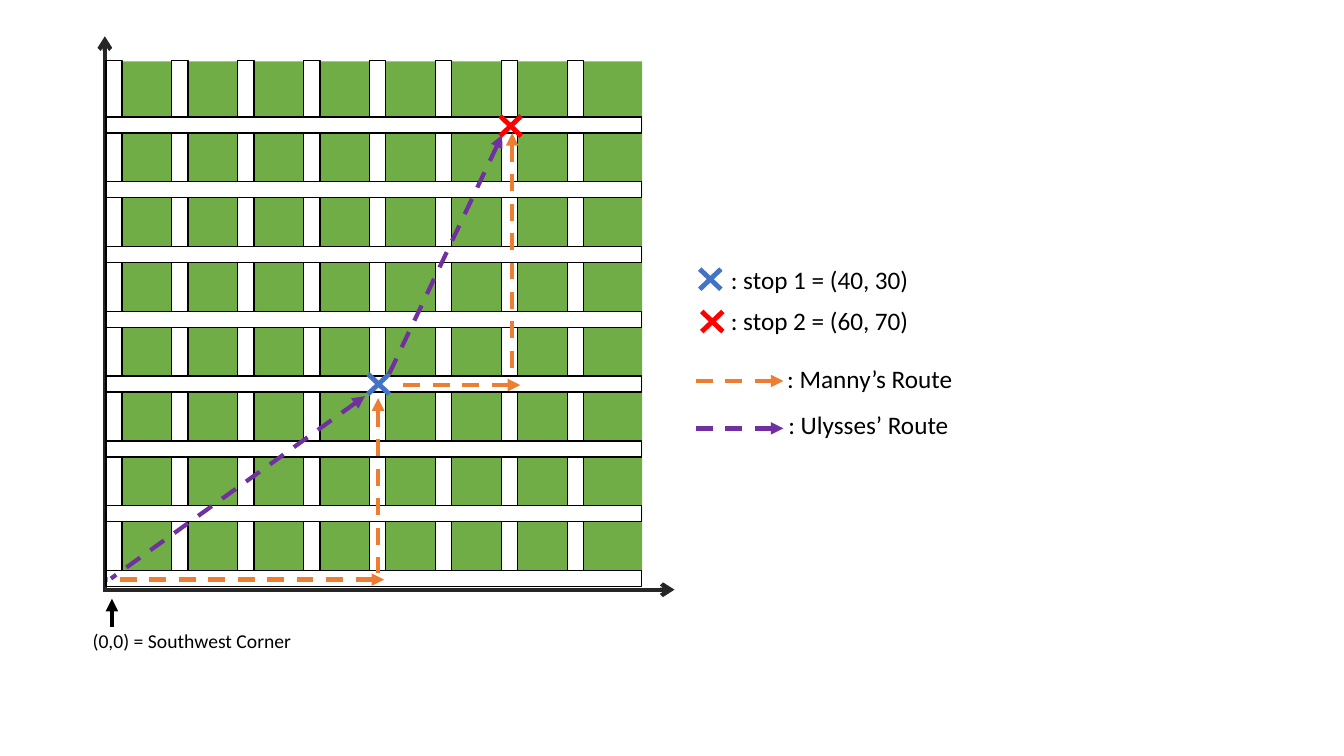
from lxml import etree
from pptx import Presentation
from pptx import util as u
from pptx.dml.color import RGBColor
from pptx.enum import dml, shapes, text
from pptx.oxml import ns

HUES = {"park": "70AD47", "road": "FFFFFF", "ink": "000000", "axis": "262626",
        "red": "FF0000", "blue": "4472C4", "manny": "ED7D31", "ulysses": "7030A0"}
HUES = {name: RGBColor.from_string(hue) for name, hue in HUES.items()}

deck = Presentation()
deck.slide_width, deck.slide_height = u.Inches(13.33), u.Inches(7.5)
slide = deck.slides.add_slide(deck.slide_layouts[6])


def block(box, fill, edge=None):
    """Add a rectangle, with a 1 pt outline if an edge colour is named."""
    rect = slide.shapes.add_shape(shapes.MSO_SHAPE.RECTANGLE, *map(u.Inches, box))
    rect.shadow.inherit = False
    rect.fill.solid()
    rect.fill.fore_color.rgb = HUES[fill]
    if edge:
        rect.line.color.rgb = HUES[edge]
        rect.line.width = u.Pt(1)
    else:
        rect.line.fill.background()


def stroke(home, ends, hue, head=None, **look):
    """Draw a line in the given shape tree; any arrowhead sits at its first point."""
    line = home.add_connector(shapes.MSO_CONNECTOR.STRAIGHT, *map(u.Inches, ends))
    line.line.color.rgb = HUES[hue]
    for key, val in ({"width": u.Pt(3)} | look).items():
        setattr(line.line, key, val)
    props = line.element.spPr
    if head:
        etree.SubElement(props.find(ns.qn("a:ln")), ns.qn("a:headEnd"), type=head)
    etree.SubElement(props, ns.qn("a:effectLst"))


# City blocks, axes and streets
block((1.22, 0.61, 5.15, 5.06), "park")
for ends in [(1.04, 0.36, 1.04, 5.85), (6.69, 5.85, 1.02, 5.85)]:
    stroke(slide.shapes, ends, "axis", "arrow")
for i in range(8):
    block((1.05 + 4.58 * i / 7, 0.6, 0.16, 5.07), "road", "ink")
for i in range(8):
    block((1.05, 1.16 + 4.5 * i / 7, 5.31, 0.16), "road", "ink")

# Stops on the map and in the key
for x, y, hue in [(6.96, 3.09, "red"), (6.94, 2.67, "blue"),
                  (3.65, 3.71, "blue"), (4.96, 1.15, "red")]:
    cross = slide.shapes.add_group_shape().shapes
    for top, base in [(y, y + 0.2), (y + 0.2, y)]:
        stroke(cross, (x + 0.21, top, x, base), hue, width=u.Pt(3.5))

# Routes, each followed by its key line
routes = {
    "manny": [(3.81, 5.75, 1.06, 5.75), (3.75, 3.95, 3.75, 5.68),
              (5.16, 3.82, 3.89, 3.82), (5.08, 1.32, 5.08, 3.75),
              (7.77, 3.78, 6.83, 3.78)],
    "ulysses": [(3.62, 3.93, 1.1, 5.74), (4.98, 1.34, 3.85, 3.73),
                (7.77, 4.25, 6.83, 4.25)],
}
for name, legs in routes.items():
    for ends in legs:
        stroke(slide.shapes, ends, name, "triangle", dash_style=dml.MSO_LINE.DASH)
stroke(slide.shapes, (1.11, 5.94, 1.11, 6.22), "ink", "triangle")

# Labels
labels = [
    (": stop 1 = (40, 30)", (7.15, 2.57, 1.99, 0.4), 18),
    (": stop 2 = (60, 70)", (7.15, 2.98, 1.99, 0.4), 18),
    (": Manny’s Route", (7.71, 3.56, 1.86, 0.4), 18),
    (": Ulysses’ Route", (7.72, 4.01, 1.8, 0.4), 18),
    ("(0,0) = Southwest Corner", (0.82, 6.19, 2.25, 0.34), 14),
]
for words, box, size in labels:
    frame = slide.shapes.add_textbox(*map(u.Inches, box)).text_frame
    frame.word_wrap = False
    frame.auto_size = text.MSO_AUTO_SIZE.SHAPE_TO_FIT_TEXT
    run = frame.paragraphs[0].add_run()
    run.text = words
    for key, val in {"name": "Calibri", "size": u.Pt(size)}.items():
        setattr(run.font, key, val)
    run.font.color.rgb = HUES["ink"]

deck.save("out.pptx")
